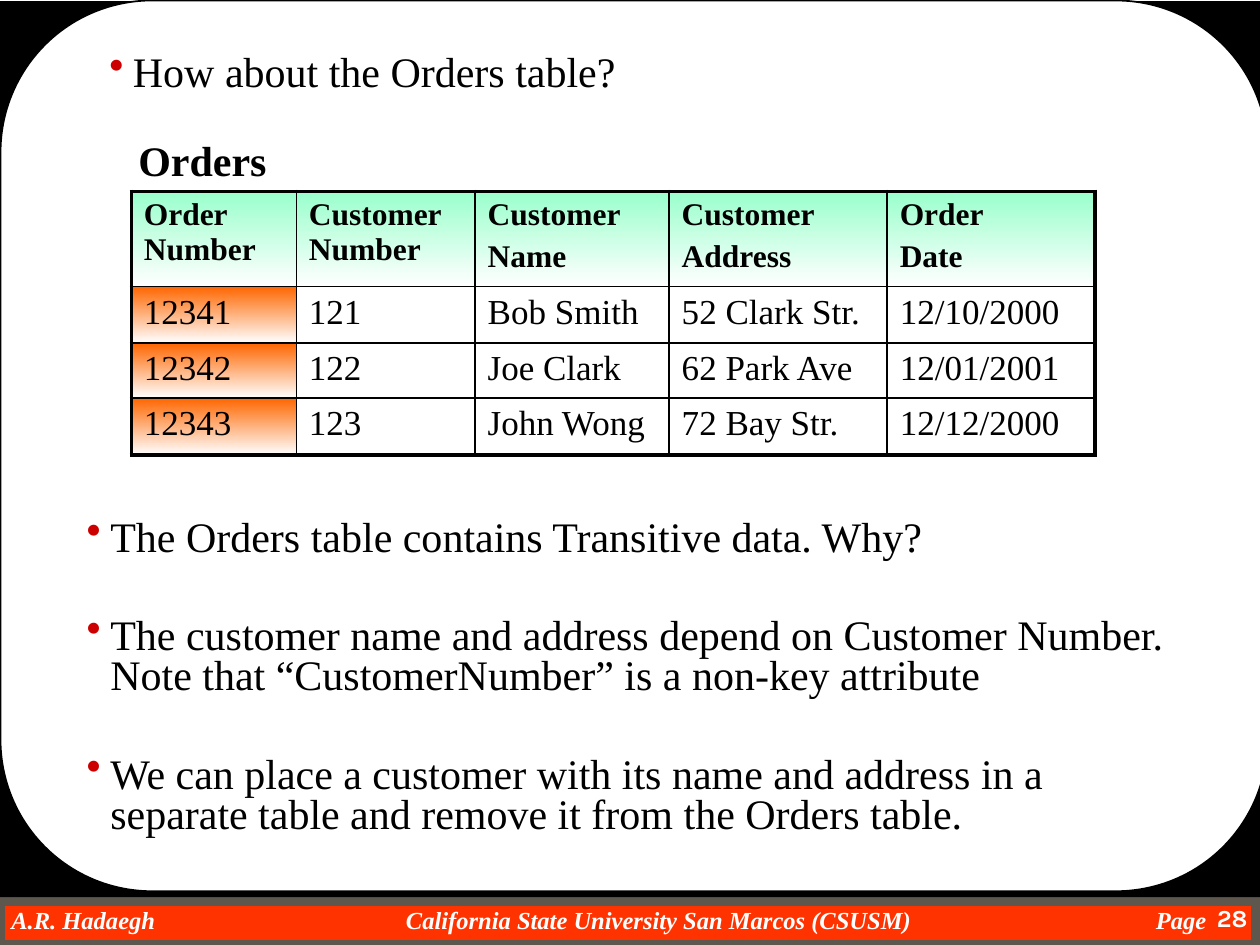
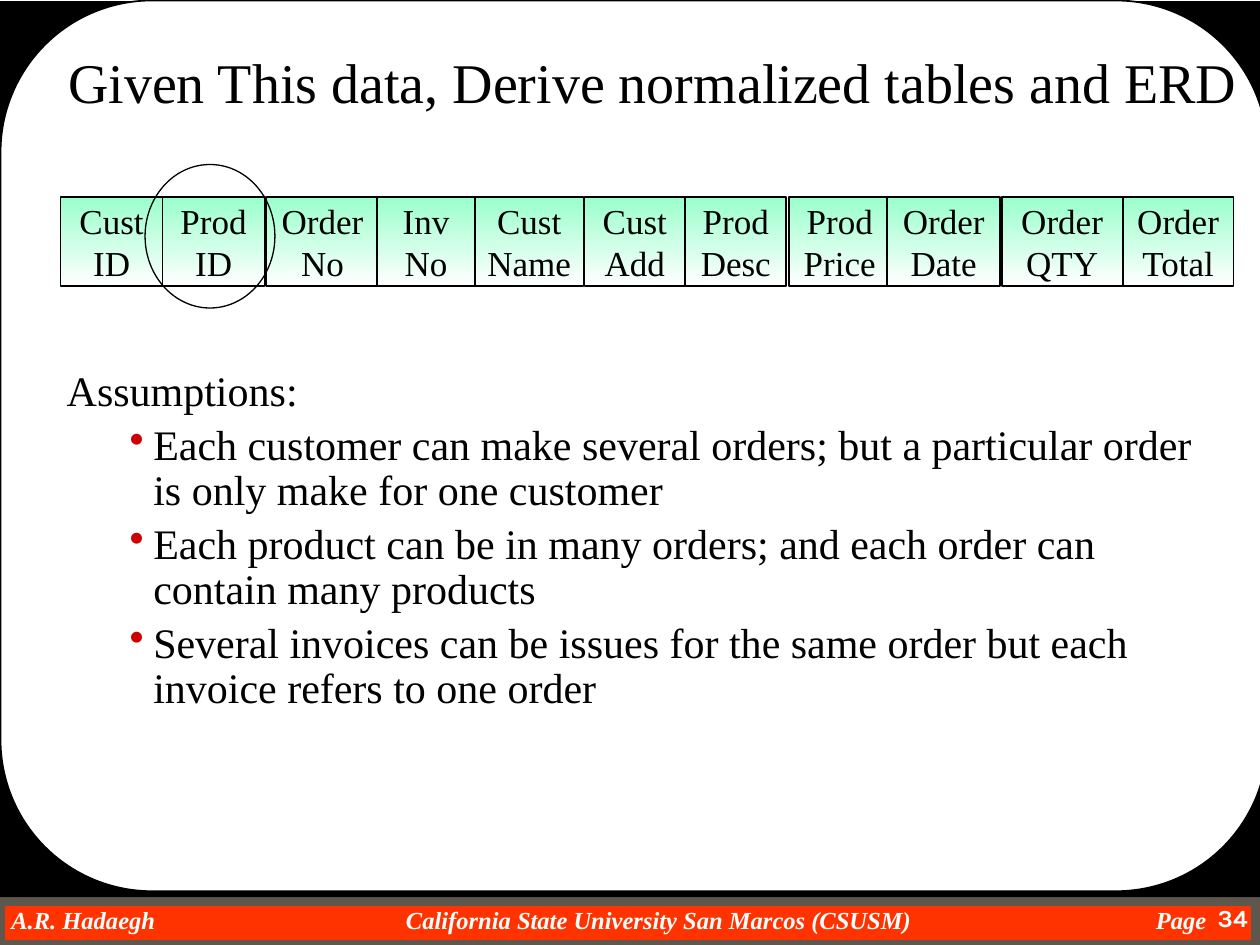
from lxml import etree
from pptx import Presentation
from pptx.dml.color import RGBColor
from pptx.enum import shapes, text
from pptx.oxml import ns
from pptx.util import Pt

BLACK = RGBColor(0x00, 0x00, 0x00)
WHITE = RGBColor(0xFF, 0xFF, 0xFF)
MINT = RGBColor(0x99, 0xFF, 0xCC)
ORANGE = RGBColor(0xFF, 0x66, 0x00)
FOOTER_RED = RGBColor(0xFF, 0x33, 0x00)
FOOTER_EDGE = RGBColor(0x5E, 0x57, 0x4E)
BULLET_RED = RGBColor(0xCC, 0x00, 0x00)
SERIF = "Times New Roman"
LEFT, CENTER, RIGHT = text.PP_ALIGN.LEFT, text.PP_ALIGN.CENTER, text.PP_ALIGN.RIGHT
HANG = 13.5


def write(frame, lines, size, color=BLACK, font=SERIF, bold=False, italic=False,
          align=LEFT, wrap=True, spacing=None, before=0, bullets_from=None, margin=HANG):
    frame.word_wrap = wrap
    for number, line in enumerate(lines):
        paragraph = frame.paragraphs[0] if number == 0 else frame.add_paragraph()
        if bullets_from is not None and number >= bullets_from:
            properties = paragraph._p.get_or_add_pPr()
            properties.set("marL", str(Pt(margin)))
            properties.set("indent", str(-Pt(HANG)))
            tint = etree.SubElement(properties, ns.qn("a:buClr"))
            etree.SubElement(tint, ns.qn("a:srgbClr"), val=str(BULLET_RED))
            etree.SubElement(properties, ns.qn("a:buChar"), char="•")
        paragraph.alignment = align
        if spacing:
            paragraph.line_spacing = spacing
        if number and before:
            paragraph.space_before = Pt(before)
        run = paragraph.add_run()
        run.text = line
        run.font.name = font
        run.font.size = Pt(size)
        run.font.bold = bold
        run.font.italic = italic
        run.font.color.rgb = color


def fade_to_white(fill, color):
    fill.gradient()
    fill.gradient_angle = 270
    for stop, stop_color in zip(fill.gradient_stops, (color, WHITE)):
        stop.color.rgb = stop_color


deck = Presentation()
deck.slide_width, deck.slide_height = Pt(720), Pt(540)
orders_slide = deck.slides.add_slide(deck.slide_layouts[6])
exercise_slide = deck.slides.add_slide(deck.slide_layouts[5])

RECTANGLE = shapes.MSO_SHAPE.RECTANGLE
ROUNDED = shapes.MSO_SHAPE.ROUNDED_RECTANGLE
backdrop = [
    (RECTANGLE, 0, 514.8, 718, 25.2, FOOTER_RED, FOOTER_EDGE, 6),
    (RECTANGLE, 0, 0.7, 720, 512, BLACK, None, 0),
    (ROUNDED, 0.3, 0.3, 724, 509, WHITE, BLACK, 1),
]
footer = [
    (6.5, 100, "A.R. Hadaegh"),
    (232, 300, "California State University San Marcos (CSUSM)"),
    (660.5, 36, "Page"),
]
for slide, page in ((orders_slide, "28"), (exercise_slide, "34")):
    for kind, left, top, width, height, color, edge, weight in backdrop:
        panel = slide.shapes.add_shape(kind, Pt(left), Pt(top), Pt(width), Pt(height))
        panel.shadow.inherit = False
        panel.fill.solid()
        panel.fill.fore_color.rgb = color
        if edge is None:
            panel.line.fill.background()
        else:
            panel.line.color.rgb = edge
            panel.line.width = Pt(weight)
        if kind == ROUNDED:
            panel.adjustments[0] = 0.17
    for left, width, label in footer:
        frame = slide.shapes.add_textbox(Pt(left), Pt(517), Pt(width), Pt(16.5)).text_frame
        frame.margin_left = frame.margin_right = frame.margin_top = frame.margin_bottom = 0
        write(frame, [label], 14, WHITE, bold=True, italic=True, wrap=False)
    page_number = slide.shapes.add_textbox(Pt(666), Pt(512.6), Pt(54), Pt(27.4))
    write(page_number.text_frame, [page], 14, WHITE, "Karla", bold=True, align=RIGHT)

findings = orders_slide.shapes.add_textbox(Pt(42.5), Pt(293.8), Pt(640), Pt(191.5))
write(findings.text_frame, [
    "The Orders table contains Transitive data. Why?",
    "The customer name and address depend on Customer Number. "
    "Note that “CustomerNumber” is a non-key attribute",
    "We can place a customer with its name and address in a separate table "
    "and remove it from the Orders table.",
], 24, spacing=0.8, before=33, bullets_from=0)

orders = [
    ["Order Number", "Customer Number", "Customer\nName", "Customer\nAddress", "Order\nDate"],
    ["12341", "121", "Bob Smith", "52 Clark Str.", "12/10/2000"],
    ["12342", "122", "Joe Clark", "62 Park Ave", "12/01/2001"],
    ["12343", "123", "John Wong", "72 Bay Str.", "12/12/2000"],
]
column_widths = [94.3, 102.2, 110.9, 124.6, 118.8]
row_heights = [54.3, 32.4, 31.4, 32.6]
last_row, last_column = len(orders) - 1, len(column_widths) - 1
orders_table = orders_slide.shapes.add_table(
    len(orders), len(column_widths), Pt(75), Pt(109.4),
    Pt(sum(column_widths)), Pt(sum(row_heights))).table
orders_table.first_row = orders_table.horz_banding = False
for column, width in zip(orders_table.columns, column_widths):
    column.width = Pt(width)
for row, height in zip(orders_table.rows, row_heights):
    row.height = Pt(height)
for r, order in enumerate(orders):
    for c, value in enumerate(order):
        cell = orders_table.cell(r, c)
        is_header = r == 0
        write(cell.text_frame, value.split("\n"), 18 if is_header else 20,
              bold=is_header, before=3.6)
        borders = cell._tc.get_or_add_tcPr()
        for side, is_outer in (("L", c == 0), ("R", c == last_column),
                               ("T", r == 0), ("B", r == last_row)):
            border = etree.SubElement(borders, ns.qn("a:ln" + side),
                                      w=str(Pt(2.25 if is_outer else 1)))
            ink = etree.SubElement(border, ns.qn("a:solidFill"))
            etree.SubElement(ink, ns.qn("a:srgbClr"), val=str(BLACK))
        if is_header:
            fade_to_white(cell.fill, MINT)
        elif c == 0:
            fade_to_white(cell.fill, ORANGE)
        else:
            cell.fill.background()

question = orders_slide.shapes.add_textbox(Pt(55.4), Pt(22.3), Pt(391), Pt(36))
write(question.text_frame, ["How about the Orders table?"], 24, bullets_from=0)
table_name = orders_slide.shapes.add_textbox(Pt(72), Pt(73.4), Pt(88), Pt(36))
write(table_name.text_frame, ["Orders"], 24, bold=True, wrap=False)

fields = [
    ("Cust ID", 34.6, 58.3), ("Prod ID", 92.9, 58.3), ("Order No", 151.9, 64.8),
    ("Inv No", 215.3, 56.2), ("Cust Name", 271.4, 62), ("Cust Add", 334, 57.6),
    ("Prod Desc", 391.7, 57.6), ("Prod Price", 450.7, 58.3), ("Order Date", 506.9, 64.8),
    ("Order QTY", 572.4, 69.1), ("Order Total", 641.5, 63.4),
]
record = exercise_slide.shapes.add_group_shape()
for name, left, width in fields:
    field = record.shapes.add_shape(RECTANGLE, Pt(left), Pt(112.4), Pt(width), Pt(51.1))
    field.shadow.inherit = False
    fade_to_white(field.fill, MINT)
    field.line.color.rgb = BLACK
    field.line.width = Pt(1)
    field.text_frame.vertical_anchor = text.MSO_ANCHOR.MIDDLE
    write(field.text_frame, name.split(), 20, align=CENTER, wrap=False)

key_ring = exercise_slide.shapes.add_shape(
    shapes.MSO_SHAPE.OVAL, Pt(82.9), Pt(94), Pt(74.2), Pt(82))
key_ring.shadow.inherit = False
key_ring.fill.background()
key_ring.line.color.rgb = BLACK
key_ring.line.width = Pt(0.75)

title = exercise_slide.shapes.title
title.element.getparent().append(title.element)
title.left, title.top, title.width, title.height = Pt(31.7), Pt(23.8), Pt(688.3), Pt(45.4)
title.text_frame.auto_size = text.MSO_AUTO_SIZE.NONE
title.text_frame.vertical_anchor = text.MSO_ANCHOR.TOP
write(title.text_frame, ["Given This data, Derive normalized tables and ERD"], 32)

assumptions = exercise_slide.shapes.add_textbox(Pt(31), Pt(208), Pt(666), Pt(206))
write(assumptions.text_frame, [
    "Assumptions:",
    "Each customer can make several orders; but a particular order "
    "is only make for one customer",
    "Each product can be in many orders; and each order can contain many products",
    "Several invoices can be issues for the same order but each invoice refers to one order",
], 24, spacing=0.9, before=4.8, bullets_from=1, margin=49.5)

deck.save("out.pptx")
